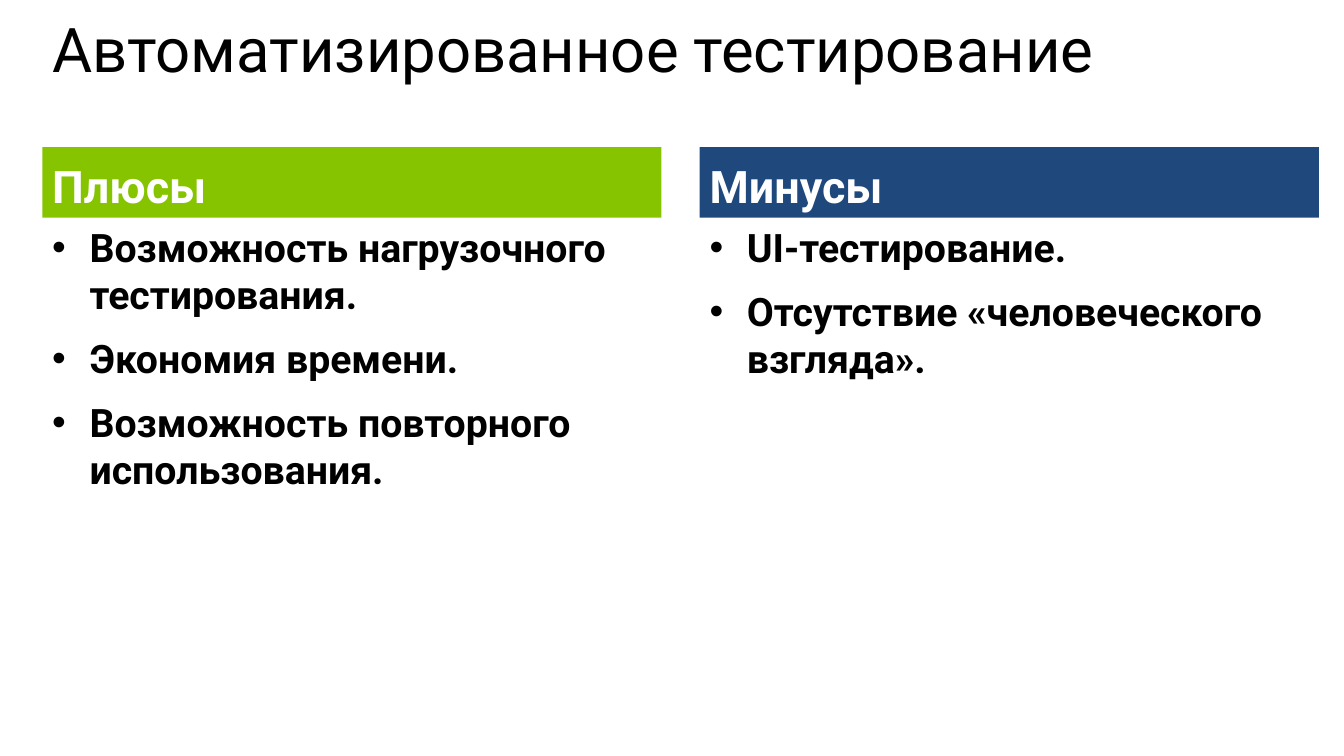
from lxml import etree
from pptx import Presentation
from pptx.dml.color import RGBColor
from pptx.enum.shapes import MSO_SHAPE
from pptx.enum.text import MSO_ANCHOR, PP_ALIGN
from pptx.oxml.ns import qn
from pptx.util import Inches, Pt

RECTANGLE = MSO_SHAPE.RECTANGLE
TOP, BOTTOM = MSO_ANCHOR.TOP, MSO_ANCHOR.BOTTOM
LEFT = PP_ALIGN.LEFT
GREEN = RGBColor(0x86, 0xC4, 0x00)
BLUE = RGBColor(0x1F, 0x49, 0x7D)
WHITE = RGBColor(0xFF, 0xFF, 0xFF)
BLACK = RGBColor(0, 0, 0)
FONT = "Roboto"

TITLE = "Автоматизированное тестирование"
COLUMNS = [
    ("Плюсы", GREEN, [
        "Возможность нагрузочного тестирования.",
        "Экономия времени.",
        "Возможность повторного использования.",
    ]),
    ("Минусы", BLUE, [
        "UI-тестирование.",
        "Отсутствие «человеческого взгляда».",
    ]),
]

MARGIN, COLUMN_WIDTH, COLUMN_STEP = 0.42, 6.14, 6.52
HEADER_TOP, HEADER_HEIGHT = 1.46, 0.7
LIST_TOP, LIST_HEIGHT = 2.17, 5.08
BULLET_INDENT = 0.37


def style_paragraph(paragraph, size, color, bold):
    paragraph.alignment = LEFT
    paragraph.font.name = FONT
    paragraph.font.size = Pt(size)
    paragraph.font.color.rgb = color
    paragraph.font.bold = bold


def add_bullet(paragraph):
    properties = paragraph._p.get_or_add_pPr()
    properties.set("marL", str(Inches(BULLET_INDENT)))
    properties.set("indent", str(-Inches(BULLET_INDENT)))
    bullet_font = etree.Element(qn("a:buFont"), typeface="Arial")
    bullet = etree.Element(qn("a:buChar"), char="•")
    default_run = properties.find(qn("a:defRPr"))
    default_run.addprevious(bullet_font)
    default_run.addprevious(bullet)


def add_header(slide, left, text, color):
    header = slide.shapes.add_shape(
        RECTANGLE, Inches(left), Inches(HEADER_TOP),
        Inches(COLUMN_WIDTH), Inches(HEADER_HEIGHT))
    header.shadow.inherit = False
    header.fill.solid()
    header.fill.fore_color.rgb = color
    header.line.fill.background()
    frame = header.text_frame
    frame.vertical_anchor = BOTTOM
    frame.text = text
    style_paragraph(frame.paragraphs[0], 32, WHITE, True)
    frame.paragraphs[0].space_before = Pt(12)


def add_list(slide, left, items):
    box = slide.shapes.add_textbox(
        Inches(left), Inches(LIST_TOP), Inches(COLUMN_WIDTH), Inches(LIST_HEIGHT))
    frame = box.text_frame
    frame.word_wrap = True
    frame.text = "\n".join(items)
    for paragraph in frame.paragraphs:
        style_paragraph(paragraph, 28, BLACK, True)
        paragraph.space_before = Pt(12)
        add_bullet(paragraph)


def main():
    presentation = Presentation()
    presentation.slide_width = Inches(13.33)
    presentation.slide_height = Inches(7.5)
    slide = presentation.slides.add_slide(presentation.slide_layouts[5])

    title = slide.shapes.title
    title.left, title.top = Inches(MARGIN), Inches(0.2)
    title.width, title.height = Inches(12.6), Inches(1.16)
    title.text_frame.text = TITLE
    title.text_frame.vertical_anchor = TOP
    style_paragraph(title.text_frame.paragraphs[0], 44, BLACK, False)
    title.text_frame.paragraphs[0].line_spacing = 0.8

    for index, (heading, color, items) in enumerate(COLUMNS):
        left = MARGIN + index * COLUMN_STEP
        add_header(slide, left, heading, color)
        add_list(slide, left, items)

    presentation.save("out.pptx")


if __name__ == "__main__":
    main()
